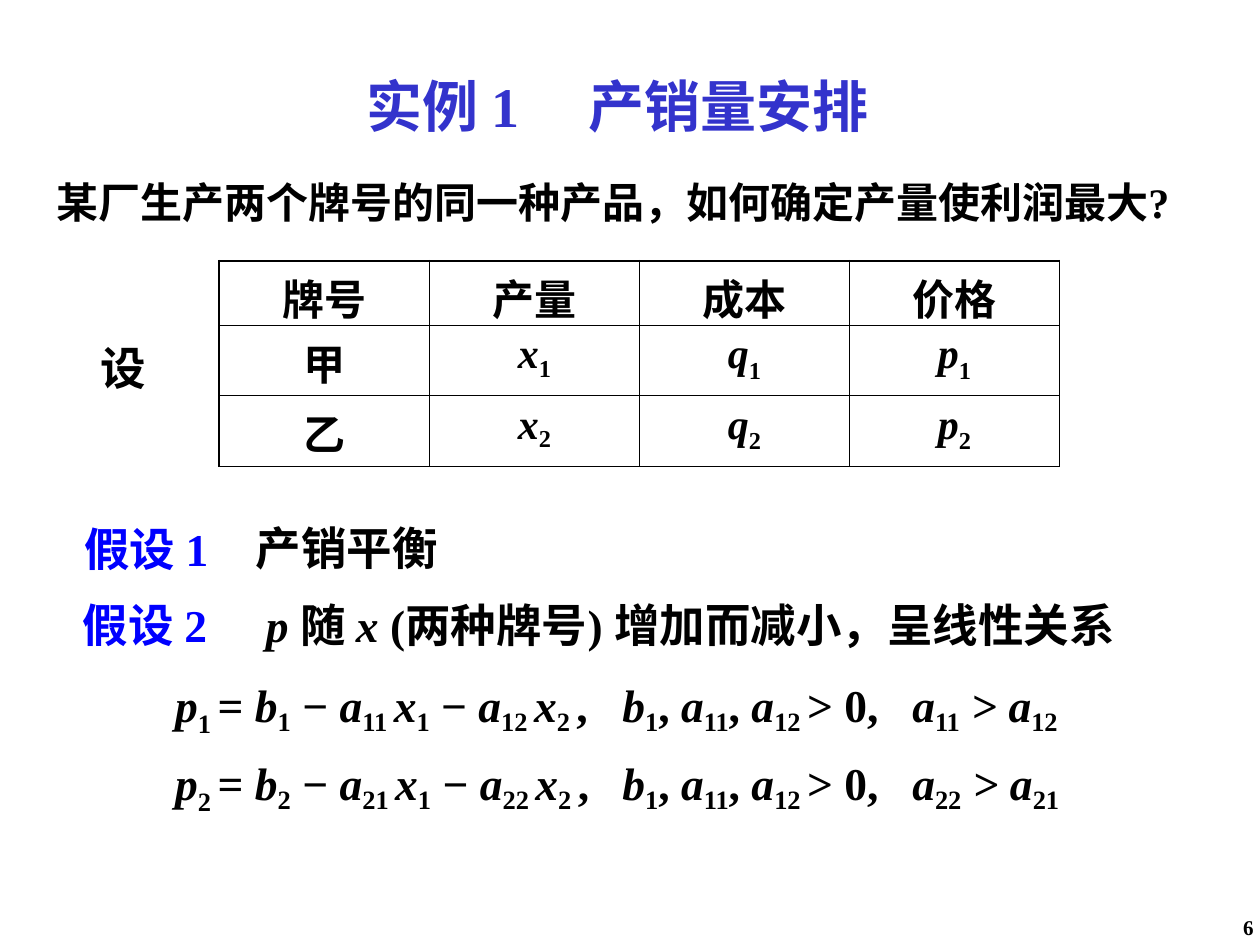
from typing import NamedTuple

from lxml.etree import SubElement
from pptx import Presentation
from pptx.dml.color import RGBColor
from pptx.enum.text import MSO_ANCHOR as Anchor, PP_ALIGN as Align
from pptx.oxml.ns import qn
from pptx.util import Inches, Pt

BLACK = RGBColor(0, 0, 0)
BLUE = RGBColor(0, 0, 255)
INDIGO = RGBColor(0x33, 0x33, 0xCC)
FONT = "Times New Roman"
THIN, THICK = Pt(0.45), Pt(1.08)


class Label(NamedTuple):
    text: str
    left: float
    top: float
    width: float
    height: float
    size: float = 26
    color: RGBColor = BLACK
    after: float = 3.3
    line: float = 1.2
    lead: float = 0.1
    tabs: tuple = ()


def write(frame, text: str, *, size: float, color: RGBColor = BLACK,
          align=None, line: float = 1, before: float = 0,
          after: float = 0, tabs: tuple = ()) -> None:
    """Runs are split at "|"; "/" starts italics and "_" a subscript."""
    para = frame.paragraphs[0]
    para.alignment = align
    para.line_spacing = line
    para.space_before, para.space_after = Pt(before), Pt(after)
    if tabs:
        stops = SubElement(para._p.get_or_add_pPr(), qn("a:tabLst"))
        for pos in tabs:
            SubElement(stops, qn("a:tab"), pos=str(Inches(pos)), algn="l")
    last = ""
    for part in text.split("|"):
        mark = part[0] if part[0] in "/_" else ""
        run = para.add_run()
        run.text = part[len(mark):]
        font = run.font
        font.name, font.size, font.bold = FONT, Pt(size), True
        font.italic = mark == "/"
        font.color.rgb = color
        if mark == "_":
            # Letters with a tail take a lower subscript
            drop = "-25000" if last in ("/p", "/q") else "-20000"
            run._r.get_or_add_rPr().set("baseline", drop)
        last = part


def put(slide, item: Label) -> None:
    box = slide.shapes.add_textbox(Inches(item.left), Inches(item.top),
                                   Inches(item.width), Inches(item.height))
    frame = box.text_frame
    frame.word_wrap = False
    frame.vertical_anchor = Anchor.MIDDLE
    frame.margin_left = Inches(item.lead)
    frame.margin_right = 0
    write(frame, item.text, size=item.size, color=item.color, align=Align.LEFT,
          line=item.line, after=item.after, tabs=item.tabs)


def edge(cell, side: str, width: int) -> None:
    line = SubElement(cell._tc.get_or_add_tcPr(), qn(f"a:ln{side}"), w=str(width))
    fill = SubElement(line, qn("a:solidFill"))
    SubElement(fill, qn("a:srgbClr"), val=str(BLACK))


def grid(slide, rows: list) -> None:
    high, wide = len(rows), len(rows[0])
    table = slide.shapes.add_table(high, wide, Inches(1.74), Inches(2.07),
                                   Inches(6.67), Inches(1.63)).table
    table.first_row = table.horz_banding = False
    for r, row in enumerate(rows):
        table.rows[r].height = Inches(0.56 if r else 0.51)
        for c, text in enumerate(row):
            cell = table.cell(r, c)
            outer = {"L": c == 0, "R": c == wide - 1,
                     "T": r == 0, "B": False}
            for side, bold in outer.items():
                edge(cell, side, THICK if bold else THIN)
            cell.fill.background()
            write(cell.text_frame, text, size=24, align=Align.CENTER, before=6)


def price(n: int, m: int) -> str:
    """Price formula of brand n, where m is the other brand."""
    return (f"/p|_{n} |= |/b|_{n}| − |/a|_{n}1 |/x|_1| − |/a|_{n}2 |/x|_2 |"
            f",\t|/b|_1|, |/a|_11|, |/a|_12 |> 0,\t|/a|_{n}{n}|/ > a|_{n}{m}")


def main() -> None:
    deck = Presentation()
    deck.slide_width, deck.slide_height = Inches(10), Inches(7.5)
    slide = deck.slides.add_slide(deck.slide_layouts[6])

    # Slide number
    num = slide.shapes.add_textbox(Inches(9.6), Inches(7.25),
                                   Inches(0.37), Inches(0.22)).text_frame
    num.word_wrap = True
    num.margin_left = num.margin_right = Inches(0.02)
    num.margin_top = num.margin_bottom = Inches(0.01)
    write(num, "6", size=12, align=Align.RIGHT)

    # Brands with output, cost and price
    grid(slide, [["牌号", "产量", "成本", "价格"]] + [
        [name] + [f"/{sign}|_{n}" for sign in "xqp"]
        for n, name in enumerate("甲乙", 1)])

    # Title, question and assumptions
    labels = [
        Label("实例 1\t产销量安排", 2.81, 0.57, 4.36, 0.53, 32, INDIGO,
              after=0, line=1, tabs=(1.76,)),
        Label("某厂生产两个牌号的同一种产品，如何确定产量使利润最大?",
              0.35, 1.29, 9.21, 0.54, 24, after=3),
        Label("设", 0.7, 2.6, 0.78, 0.54),
        Label("假设 1", 0.57, 4.03, 1.25, 0.55, color=BLUE),
        Label("产销平衡", 1.93, 4.03, 1.69, 0.54),
        Label("假设 2", 0.56, 4.64, 1.25, 0.55, color=BLUE),
        Label("/p |随 |/x| (两种牌号) 增加而减小，呈线性关系",
              1.92, 4.64, 7.6, 0.54, lead=0.19),
    ]
    # Price formulas
    labels += [Label(price(n, 3 - n), 1.2, 4.69 + 0.62 * n, 7.71, 0.52,
                     lead=0.19, tabs=(3.55, 5.85)) for n in (1, 2)]
    for item in labels:
        put(slide, item)

    deck.save("out.pptx")


if __name__ == "__main__":
    main()
